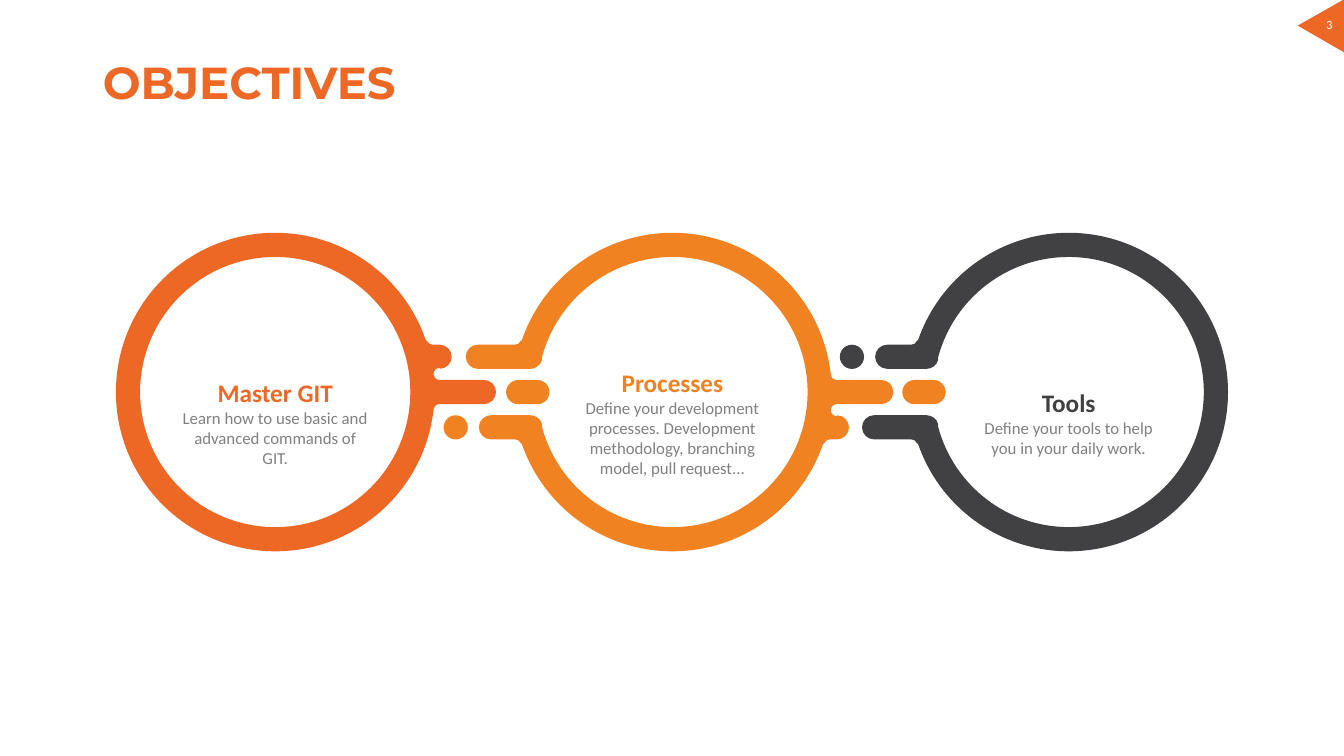
"""Build the Objectives slide: three linked rings, each with a heading and a summary."""
from dataclasses import dataclass
from itertools import pairwise
from math import cos, radians, sin, tan

from pptx import Presentation
from pptx.dml.color import RGBColor
from pptx.enum.shapes import MSO_SHAPE
from pptx.enum.text import MSO_ANCHOR, MSO_AUTO_SIZE, PP_ALIGN
from pptx.oxml.ns import qn
from pptx.util import Emu, Pt

PX = 9144
MIDDLE = 389
OUTER, INNER = 158, 134
BAR = 12
LANE = 35
TEXT_MIDDLE = 412
TEXT_WIDTH = 206
COLOURS = {
    "orange": "ED6825",
    "amber": "F08222",
    "charcoal": "414042",
    "heading": "404040",
    "grey": "808080",
    "white": "FFFFFF",
}
FORMATS = {
    "title": {"name": "Montserrat", "size": Pt(32), "bold": True},
    "heading": {"name": "Calibri", "size": Pt(18), "bold": True},
    "summary": {"name": "Calibri", "size": Pt(12), "bold": False},
    "number": {"name": "Calibri", "size": Pt(9), "bold": False},
}


@dataclass(frozen=True)
class Arc:
    x: int
    y: int
    radius: int
    start: int
    end: int

    def mirrored(self) -> "Arc":
        return Arc(self.x, -self.y, self.radius, -self.end, -self.start)

    def at(self, angle: float, pull: float = 0) -> tuple[float, float]:
        turn = radians(angle)
        return (self.x + self.radius * (cos(turn) - pull * sin(turn)),
                self.y + self.radius * (sin(turn) + pull * cos(turn)))

    def curve_points(self) -> list[tuple[float, float]]:
        low, high = sorted((self.start, self.end))
        quarters = [angle for angle in range(-360, 721, 90) if low < angle < high]
        stops = sorted([low, *quarters, high], reverse=self.end < self.start)
        points = [self.at(self.start)] * 3
        for first, last in pairwise(stops):
            pull = 4 / 3 * tan(radians(last - first) / 4)
            points += [self.at(first, pull), self.at(last, -pull), self.at(last)]
        return points


@dataclass(frozen=True)
class Objective:
    heading: str
    summary: str
    centre: int
    colour: str
    heading_colour: str
    link_colour: str
    text_height: int
    prong_side: int = 0
    long_tab_side: int = 0


OBJECTIVES = [
    Objective("Master GIT", "Learn how to use basic and advanced commands of GIT.",
              273, "orange", "orange", "orange", 116, prong_side=-1),
    Objective("Processes", "Define your development processes. Development "
              "methodology, branching model, pull request...",
              667, "amber", "amber", "amber", 136, prong_side=1, long_tab_side=-1),
    Objective("Tools", "Define your tools to help you in your daily work.",
              1060, "charcoal", "heading", "amber", 96, long_tab_side=1),
]


def rgb(colour: str) -> RGBColor:
    return RGBColor.from_string(COLOURS[colour])


def px(*lengths: float) -> list[Emu]:
    return [Emu(round(length * PX)) for length in lengths]


def paint(shape, colour: str) -> None:
    shape.shadow.inherit = False
    shape.fill.solid()
    shape.fill.fore_color.rgb = rgb(colour)
    shape.line.fill.background()


def write(paragraph, text: str, style: str, colour: str, align, spacing: float = 1.0) -> None:
    paragraph.text = text
    paragraph.alignment = align
    paragraph.line_spacing = spacing
    for attribute, value in FORMATS[style].items():
        setattr(paragraph.font, attribute, value)
    paragraph.font.color.rgb = rgb(colour)


def mirror(arcs: list[Arc]) -> list[Arc]:
    return [arc.mirrored() for arc in reversed(arcs)]


def prongs(side: int) -> list[Arc]:
    upper = [Arc(156, -53, 6, 160, 90), Arc(163, -LANE, BAR, -90, 90),
             Arc(163, -18, 6, 270, 90), Arc(207, 0, BAR, -90, 90), Arc(163, 18, 6, 270, 180)]
    return upper if side < 0 else mirror(upper)


def tab(is_long: bool) -> list[Arc]:
    left = -205 if is_long else -192
    return [Arc(-156, 53, 6, 340, 270), Arc(left + BAR, LANE, BAR, 90, 270),
            Arc(-141, LANE, BAR, 270, 345)]


def ring_contours(objective: Objective) -> list[list[Arc]]:
    side, long_side = objective.prong_side, objective.long_tab_side
    enter, leave = {-1: (-19, 7), 0: (0, 0), 1: (-7, 19)}[side]
    mouth = 19 if long_side else 0
    outline = [Arc(0, 0, OUTER, 180 + mouth, 360 + enter)]
    if side:
        outline += prongs(side)
    outline.append(Arc(0, 0, OUTER, leave, 180 - mouth))
    if not long_side:
        return [outline, [Arc(0, 0, INNER, 360, 0)]]
    outline += [*tab(long_side > 0), Arc(0, 0, INNER, 165, -165), *mirror(tab(long_side < 0))]
    return [outline]


def bend(outline) -> None:
    lines = list(outline._element.iter(qn("a:lnTo")))
    for curve, second, third in zip(lines[::3], lines[1::3], lines[2::3]):
        curve.tag = qn("a:cubicBezTo")
        for line in (second, third):
            curve.append(line[0])
            line.getparent().remove(line)


def draw_ring(shapes, objective: Objective) -> None:
    contours = [[tuple(px(objective.centre + x, MIDDLE + y))
                 for arc in contour for x, y in arc.curve_points()]
                for contour in ring_contours(objective)]
    builder = shapes.build_freeform(*contours[0][0], scale=1.0)
    for contour in contours:
        if contour is not contours[0]:
            builder.move_to(*contour[0])
        builder.add_line_segments(contour[3:], close=True)
    ring = builder.convert_to_shape()
    bend(ring)
    paint(ring, objective.colour)


def draw_links(shapes, objective: Objective) -> None:
    dash = shapes.add_shape(MSO_SHAPE.ROUNDED_RECTANGLE,
                            *px(objective.centre - 165, MIDDLE - BAR, 43, 2 * BAR))
    dash.adjustments[0] = 0.5
    paint(dash, objective.link_colour)
    dot_top = MIDDLE - objective.long_tab_side * LANE - BAR
    dot = shapes.add_shape(MSO_SHAPE.OVAL, *px(objective.centre - 227, dot_top, 2 * BAR, 2 * BAR))
    paint(dot, objective.colour)


def draw_text(shapes, objective: Objective) -> None:
    height = objective.text_height
    frame = shapes.add_textbox(*px(objective.centre - TEXT_WIDTH / 2, TEXT_MIDDLE - height / 2,
                                   TEXT_WIDTH, height)).text_frame
    frame.word_wrap = True
    frame.auto_size = MSO_AUTO_SIZE.SHAPE_TO_FIT_TEXT
    frame.vertical_anchor = MSO_ANCHOR.MIDDLE
    write(frame.paragraphs[0], objective.heading, "heading", objective.heading_colour,
          PP_ALIGN.CENTER, 1.5)
    write(frame.add_paragraph(), objective.summary, "summary", "grey", PP_ALIGN.CENTER)


def draw_page_number(shapes) -> None:
    corner = shapes.add_shape(MSO_SHAPE.ISOSCELES_TRIANGLE, *px(1295, -4, 54, 46))
    corner.rotation = 30
    paint(corner, "orange")
    number = shapes.add_textbox(*px(1285, 12, 67, 25)).text_frame
    number.word_wrap = True
    write(number.paragraphs[0], "3", "number", "white", PP_ALIGN.CENTER)


def draw_title(title) -> None:
    title.left, title.top, title.width, title.height = px(92, 40, 1158, 88)
    title.text_frame.vertical_anchor = MSO_ANCHOR.MIDDLE
    write(title.text_frame.paragraphs[0], "OBJECTIVES", "title", "orange", PP_ALIGN.LEFT, 0.9)


def main() -> None:
    presentation = Presentation()
    presentation.slide_width, presentation.slide_height = px(1333, 750)
    slide = presentation.slides.add_slide(presentation.slide_layouts[5])
    draw_page_number(slide.shapes)
    draw_title(slide.shapes.title)
    for objective in reversed(OBJECTIVES):
        draw_ring(slide.shapes, objective)
        if objective.long_tab_side:
            draw_links(slide.shapes, objective)
    for objective in OBJECTIVES:
        draw_text(slide.shapes, objective)
    presentation.save("out.pptx")


if __name__ == "__main__":
    main()
